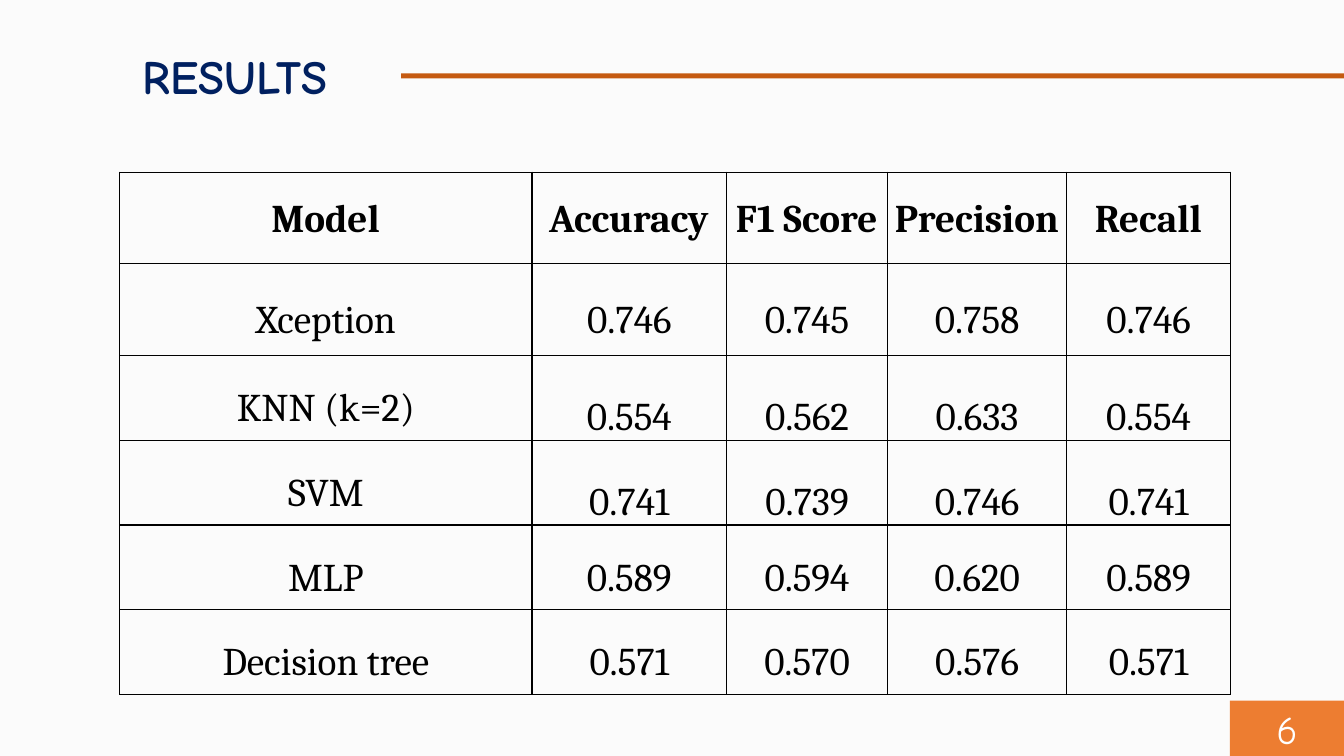
"""Build the model results slide with its metrics table."""
from dataclasses import dataclass

from lxml.etree import SubElement
from pptx import Presentation
from pptx.dml.color import RGBColor
from pptx.enum.shapes import MSO_SHAPE
from pptx.enum.text import MSO_ANCHOR, PP_ALIGN
from pptx.oxml.ns import qn
from pptx.util import Pt

TITLE = "RESULTS"
PAGE_NUMBER = "6"
HEADER = ("Model", "Accuracy", "F1 Score", "Precision", "Recall")
RESULTS = (
    ("Xception", "0.746", "0.745", "0.758", "0.746"),
    ("KNN (k=2)", "0.554", "0.562", "0.633", "0.554"),
    ("SVM", "0.741", "0.739", "0.746", "0.741"),
    ("MLP", "0.589", "0.594", "0.620", "0.589"),
    ("Decision tree", "0.571", "0.570", "0.576", "0.571"),
)
BOTTOM_ANCHORED_MODELS = ("KNN (k=2)", "SVM")
COLUMN_WIDTHS = (294.5, 139, 115, 128, 117)
ROW_HEIGHTS = (65.5, 65.5, 60.5, 60.5, 60.5, 60.5)
SLIDE_WIDTH, SLIDE_HEIGHT = 960, 540
TABLE_LEFT, TABLE_TOP = 85.5, 123


@dataclass(frozen=True)
class Theme:
    """Colours, fonts and type sizes."""
    background: str = "FBFBFB"
    title: str = "002060"
    rule: str = "C55A11"
    badge: str = "ED7D31"
    badge_text: str = "FFFFFF"
    ink: str = "000000"
    heading_font: str = "Comic Neue"
    table_font: str = "Cambria"
    title_size: int = 34
    body_size: int = 28


THEME = Theme()


def style_paragraph(paragraph, font_name, size, color, bold=False):
    font = paragraph.font
    font.name, font.size, font.bold = font_name, Pt(size), bold
    font.color.rgb = RGBColor.from_string(color)


def add_bar(slide, left, top, width, height, color):
    shape = slide.shapes.add_shape(
        MSO_SHAPE.RECTANGLE, Pt(left), Pt(top), Pt(width), Pt(height))
    shape.shadow.inherit = False
    shape.fill.solid()
    shape.fill.fore_color.rgb = RGBColor.from_string(color)
    shape.line.fill.background()
    return shape


def add_page_badge(slide):
    width, height = 81.5, 39.5
    badge = add_bar(slide, SLIDE_WIDTH - width, SLIDE_HEIGHT - height,
                    width, height, THEME.badge)
    frame = badge.text_frame
    frame.vertical_anchor = MSO_ANCHOR.MIDDLE
    paragraph = frame.paragraphs[0]
    paragraph.text = PAGE_NUMBER
    paragraph.alignment = PP_ALIGN.CENTER
    style_paragraph(paragraph, THEME.heading_font, THEME.body_size, THEME.badge_text)


def add_title(slide):
    frame = slide.shapes.add_textbox(Pt(95), Pt(11.5), Pt(261.5), Pt(89.5)).text_frame
    frame.word_wrap = True
    frame.vertical_anchor = MSO_ANCHOR.MIDDLE
    paragraph = frame.paragraphs[0]
    paragraph.text = TITLE
    paragraph.line_spacing = 0.9
    style_paragraph(paragraph, THEME.heading_font, THEME.title_size, THEME.title, True)


def set_borders(cell):
    properties = cell._tc.get_or_add_tcPr()
    for position, side in enumerate(("a:lnL", "a:lnR", "a:lnT", "a:lnB")):
        line = SubElement(properties, qn(side), w=str(Pt(1)))
        fill = SubElement(line, qn("a:solidFill"))
        SubElement(fill, qn("a:srgbClr"), val=THEME.ink)
        properties.insert(position, line)


def fill_cell(cell, text, is_header, anchor):
    cell.text = text
    cell.fill.background()
    cell.vertical_anchor = anchor
    cell.margin_left = Pt(0 if is_header else 5)
    cell.margin_right = Pt(0.5 if is_header else 5)
    cell.margin_top = Pt(0.5 if is_header else 0)
    cell.margin_bottom = Pt(0)
    paragraph = cell.text_frame.paragraphs[0]
    paragraph.alignment = PP_ALIGN.CENTER
    paragraph.line_spacing = 1.07 if is_header else 1.5
    paragraph.space_after = Pt(8 if is_header else 0)
    style_paragraph(paragraph, THEME.table_font, THEME.body_size, THEME.ink, is_header)
    set_borders(cell)


def add_results_table(slide):
    rows = (HEADER,) + RESULTS
    table = slide.shapes.add_table(
        len(rows), len(HEADER), Pt(TABLE_LEFT), Pt(TABLE_TOP),
        Pt(sum(COLUMN_WIDTHS)), Pt(sum(ROW_HEIGHTS))).table
    table.first_row = table.horz_banding = False
    for column, width in zip(table.columns, COLUMN_WIDTHS):
        column.width = Pt(width)
    for row, height, texts in zip(table.rows, ROW_HEIGHTS, rows):
        row.height = Pt(height)
        for index, (cell, text) in enumerate(zip(row.cells, texts)):
            at_bottom = index > 0 and texts[0] in BOTTOM_ANCHORED_MODELS
            anchor = MSO_ANCHOR.BOTTOM if at_bottom else MSO_ANCHOR.MIDDLE
            fill_cell(cell, text, texts is HEADER, anchor)


def main():
    presentation = Presentation()
    presentation.slide_width = Pt(SLIDE_WIDTH)
    presentation.slide_height = Pt(SLIDE_HEIGHT)
    slide = presentation.slides.add_slide(presentation.slide_layouts[6])
    background = slide.background.fill
    background.solid()
    background.fore_color.rgb = RGBColor.from_string(THEME.background)
    add_page_badge(slide)
    add_results_table(slide)
    add_title(slide)
    rule_left = 286.5
    add_bar(slide, rule_left, 52.5, SLIDE_WIDTH - rule_left, 3.6, THEME.rule)
    presentation.save("out.pptx")


if __name__ == "__main__":
    main()
